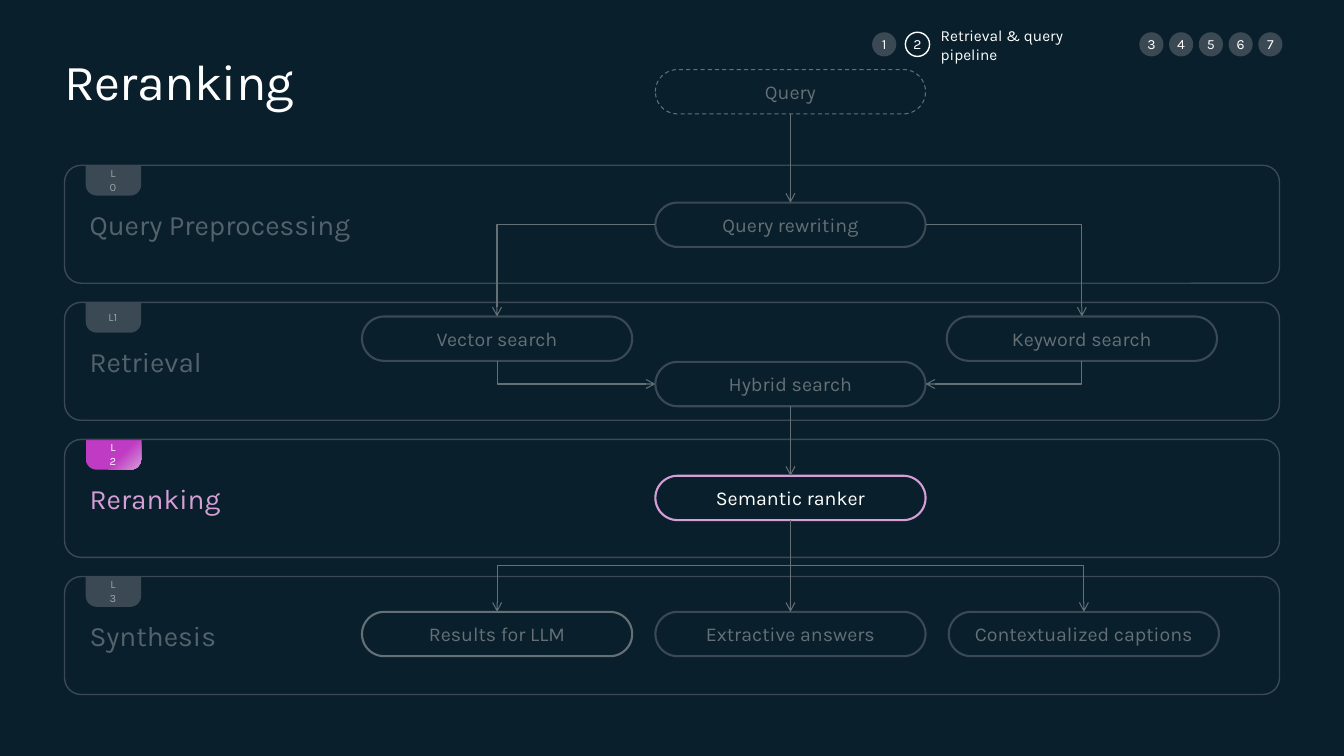
from dataclasses import dataclass

from lxml.etree import SubElement
from pptx import Presentation
from pptx.dml.color import RGBColor
from pptx.enum.dml import MSO_LINE
from pptx.enum.shapes import MSO_CONNECTOR, MSO_SHAPE
from pptx.enum.text import MSO_ANCHOR, PP_ALIGN
from pptx.oxml import parse_xml
from pptx.oxml.ns import nsdecls, qn
from pptx.shapes.autoshape import Shape
from pptx.shapes.connector import Connector
from pptx.slide import Slide
from pptx.util import Inches, Pt

NAVY, SLATE, GREY, WHITE = "091F2C", "3A4953", "657076", "FFFFFF"
PINK, MAGENTA = "D59ED7", "C03BC4"
TOP, LEFT, BOTTOM, RIGHT = range(4)
STAGE_TOP, STAGE_STEP = 1.64, 1.36
DOT_TOP, DOT_SIZE = 0.32, 0.24


@dataclass
class Stage:
    level: str
    name: str
    active: bool = False


@dataclass
class Step:
    name: str
    left: float
    top: float
    border: str = SLATE
    color: str = GREY
    width: float = 1.5
    dashed: bool = False


@dataclass
class Link:
    source: str
    source_side: int
    target: str
    target_side: int


STAGES = [
    Stage("L0", "Query Preprocessing"),
    Stage("L1", "Retrieval"),
    Stage("L2", "Reranking", True),
    Stage("L3", "Synthesis"),
]
STEPS = [
    Step("Query", 6.5, 0.69, GREY, width=0.75, dashed=True),
    Step("Query rewriting", 6.5, 2.01),
    Step("Vector search", 3.59, 3.14),
    Step("Hybrid search", 6.5, 3.59),
    Step("Keyword search", 9.39, 3.14),
    Step("Semantic ranker", 6.5, 4.72, PINK, WHITE),
    Step("Results for LLM", 3.59, 6.07, GREY),
    Step("Extractive answers", 6.5, 6.07),
    Step("Contextualized captions", 9.41, 6.07),
]
LINKS = [
    Link("Query", BOTTOM, "Query rewriting", TOP),
    Link("Query rewriting", LEFT, "Vector search", TOP),
    Link("Query rewriting", RIGHT, "Keyword search", TOP),
    Link("Vector search", BOTTOM, "Hybrid search", LEFT),
    Link("Keyword search", BOTTOM, "Hybrid search", RIGHT),
    Link("Hybrid search", BOTTOM, "Semantic ranker", TOP),
    Link("Semantic ranker", BOTTOM, "Results for LLM", TOP),
    Link("Semantic ranker", BOTTOM, "Contextualized captions", TOP),
    Link("Semantic ranker", BOTTOM, "Extractive answers", TOP),
]


def rgb(value: str) -> RGBColor:
    return RGBColor.from_string(value)


def write(shape: Shape, text: str, *, size: float, color: str = WHITE, alpha: int = 100,
          align: PP_ALIGN = PP_ALIGN.LEFT, anchor: MSO_ANCHOR = MSO_ANCHOR.MIDDLE,
          insets: tuple[float, ...] = (0, 0, 0, 0), wrap: bool = True, spacing: float = 0) -> None:
    frame = shape.text_frame
    frame.word_wrap = wrap
    frame.vertical_anchor = anchor
    frame.margin_left, frame.margin_top, frame.margin_right, frame.margin_bottom = map(Inches, insets)
    paragraph = frame.paragraphs[0]
    paragraph.alignment = align
    run = paragraph.add_run()
    run.text = text
    run.font.name = "Karla"
    run.font.size = Pt(size)
    run.font.color.rgb = rgb(color)
    properties = run.font._element
    if spacing:
        properties.set("spc", str(int(spacing * 100)))
    if alpha < 100:
        SubElement(properties.find(".//" + qn("a:srgbClr")), qn("a:alpha"), val=str(alpha * 1000))


def add_text_box(slide: Slide, left: float, top: float, width: float, height: float) -> Shape:
    return slide.shapes.add_textbox(Inches(left), Inches(top), Inches(width), Inches(height))


def add_outline(slide: Slide, kind: MSO_SHAPE, left: float, top: float, width: float, height: float, *,
                fill: str = "", border: str = "", weight: float = 1,
                corners: tuple[float, ...] = ()) -> Shape:
    shape = slide.shapes.add_shape(kind, Inches(left), Inches(top), Inches(width), Inches(height))
    shape.shadow.inherit = False
    for index, corner in enumerate(corners):
        shape.adjustments[index] = corner
    if fill:
        shape.fill.solid()
        shape.fill.fore_color.rgb = rgb(fill)
    else:
        shape.fill.background()
    if border:
        shape.line.color.rgb = rgb(border)
        shape.line.width = Pt(weight)
    else:
        shape.line.fill.background()
    return shape


def glow(shape: Shape) -> None:
    properties = shape._element.spPr
    gradient = parse_xml(
        f'<a:gradFill {nsdecls("a")} rotWithShape="0"><a:gsLst>'
        f'<a:gs pos="0"><a:srgbClr val="{PINK}"/></a:gs>'
        f'<a:gs pos="40000"><a:srgbClr val="{MAGENTA}"/></a:gs></a:gsLst>'
        '<a:path path="circle"><a:fillToRect l="100000" t="100000"/></a:path></a:gradFill>')
    properties.replace(properties.find(qn("a:solidFill")), gradient)


def draw_stage(slide: Slide, stage: Stage, top: float) -> None:
    badge = add_outline(slide, MSO_SHAPE.ROUND_2_SAME_RECTANGLE, 0.85, top, 0.55, 0.3,
                        fill=SLATE, corners=(0.36, 0))
    badge.rotation = 180
    if stage.active:
        glow(badge)
    write(add_text_box(slide, 1.07, top + 0.08, 0.1, 0.15), stage.level, size=8,
          alpha=100 if stage.active else 50, align=PP_ALIGN.CENTER, insets=(0, 0, 0, 0.02))
    panel = add_outline(slide, MSO_SHAPE.ROUNDED_RECTANGLE, 0.64, top, 12.05, 1.17,
                        border=SLATE, corners=(0.14,))
    write(panel, stage.name, size=20, color=PINK if stage.active else WHITE,
          alpha=100 if stage.active else 30, insets=(0.2, 0.16, 0.2, 0.16))


def draw_step(slide: Slide, step: Step) -> Shape:
    pill = add_outline(slide, MSO_SHAPE.ROUNDED_RECTANGLE, step.left, step.top, 2.68, 0.44,
                       border=step.border, weight=step.width, corners=(0.5,))
    if step.dashed:
        pill.line.dash_style = MSO_LINE.DASH
    write(pill, step.name, size=14, color=step.color, align=PP_ALIGN.CENTER,
          insets=(0.2, 0.04, 0.2, 0.04), wrap=False)
    return pill


def side_middle(shape: Shape, side: int) -> tuple[int, int]:
    across = {LEFT: 0, RIGHT: 2}.get(side, 1)
    down = {TOP: 0, BOTTOM: 2}.get(side, 1)
    return shape.left + shape.width * across // 2, shape.top + shape.height * down // 2


def add_elbow(slide: Slide, start: tuple[int, int], end: tuple[int, int], link: Link) -> Connector:
    (x1, y1), (x2, y2) = start, end
    falls_first = link.source_side == BOTTOM
    rightward = x2 > x1
    if falls_first:
        middle_x, middle_y = (x1 + x2) // 2, (y1 + y2) // 2
        half_run, half_rise = (y2 - y1) // 2, abs(x2 - x1) // 2
        x1, x2 = middle_x - half_run, middle_x + half_run
        if rightward:
            x1, x2 = x2, x1
        y1, y2 = middle_y - half_rise, middle_y + half_rise
    elbow = slide.shapes.add_connector(MSO_CONNECTOR.ELBOW, x1, y1, x2, y2)
    properties = elbow._element.spPr
    if falls_first:
        properties.find(qn("a:xfrm")).set("rot", str((270 if rightward else 90) * 60000))
    if not (falls_first and link.target_side == TOP):
        properties.find(qn("a:prstGeom")).set("prst", "bentConnector2")
    return elbow


def draw_link(slide: Slide, link: Link, pills: dict[str, Shape]) -> None:
    source, target = pills[link.source], pills[link.target]
    start, end = side_middle(source, link.source_side), side_middle(target, link.target_side)
    if start[0] == end[0]:
        arrow = slide.shapes.add_connector(MSO_CONNECTOR.STRAIGHT, *start, *end)
        arrow.begin_connect(source, link.source_side)
        arrow.end_connect(target, link.target_side)
    else:
        arrow = add_elbow(slide, start, end, link)
    arrow.line.color.rgb = rgb(GREY)
    arrow.line.width = Pt(0.75)
    SubElement(arrow.line._get_or_add_ln(), qn("a:tailEnd"), type="arrow")
    SubElement(arrow._element.spPr, qn("a:effectLst"))


def draw_progress(slide: Slide) -> None:
    lefts = [8.65, 8.98] + [11.3 + 1.18 / 4 * index for index in range(5)]
    for number, left in enumerate(lefts, 1):
        current = number == 2
        dot = add_outline(slide, MSO_SHAPE.OVAL, left, DOT_TOP, DOT_SIZE, DOT_SIZE,
                          fill=NAVY if current else SLATE, border=WHITE if current else "")
        write(dot, str(number), size=10, align=PP_ALIGN.CENTER)
    write(add_text_box(slide, 9.21, 0.35, 1.92, 0.19), "Retrieval & query pipeline",
          size=11, insets=(0.12, 0, 0, 0))


def main() -> None:
    deck = Presentation()
    deck.slide_width, deck.slide_height = Inches(13.33), Inches(7.5)
    slide = deck.slides.add_slide(deck.slide_layouts[6])
    slide.background.fill.solid()
    slide.background.fill.fore_color.rgb = rgb(NAVY)
    write(add_text_box(slide, 0.64, 0.5, 7.93, 0.61), "Reranking", size=36,
          anchor=MSO_ANCHOR.TOP, spacing=-0.5)
    pills = {step.name: draw_step(slide, step) for step in STEPS}
    for index, stage in enumerate(STAGES):
        draw_stage(slide, stage, STAGE_TOP + STAGE_STEP * index)
    for link in LINKS:
        draw_link(slide, link, pills)
    draw_progress(slide)
    deck.save("out.pptx")


if __name__ == "__main__":
    main()
